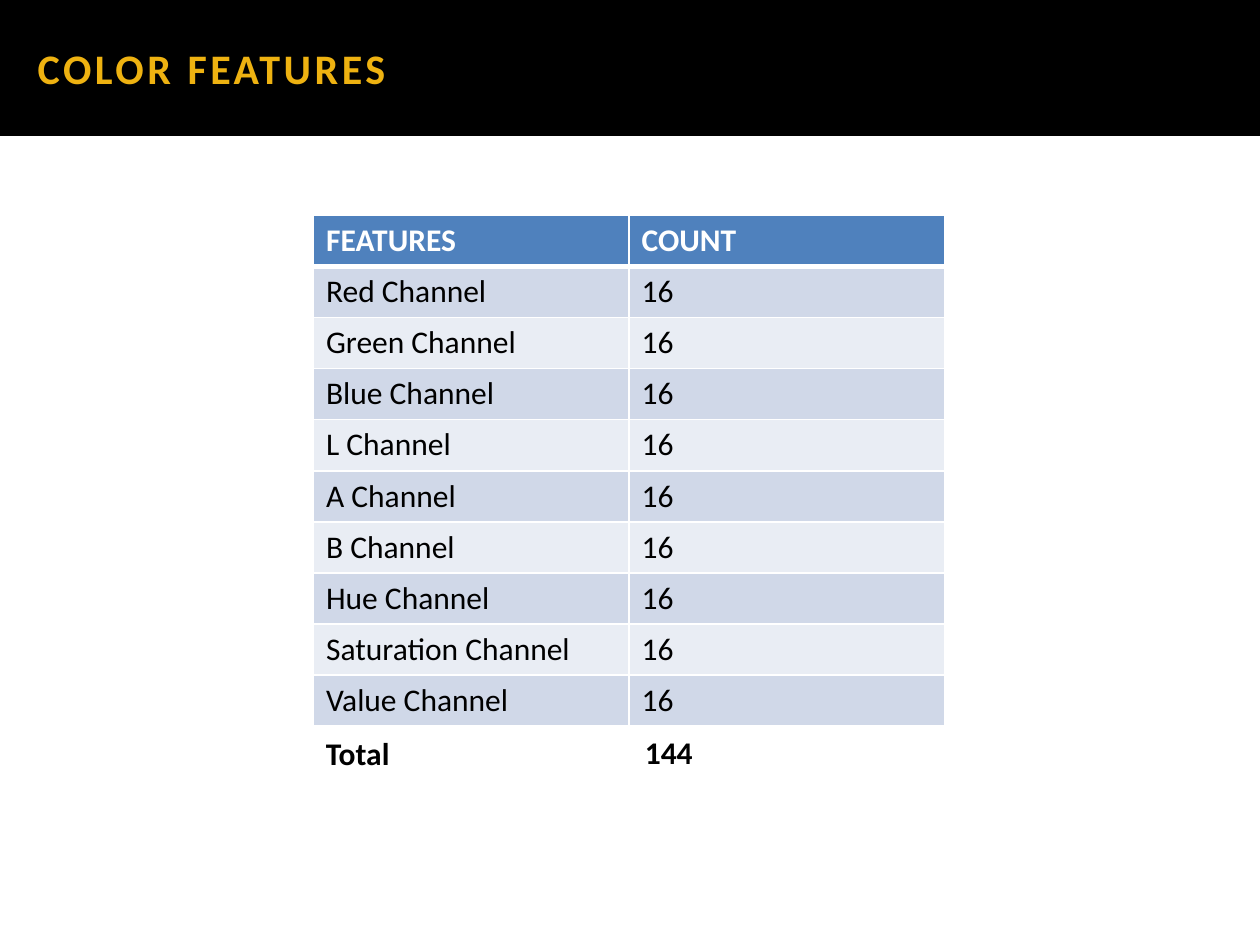
"""Build the colour features slide with its table of channel counts."""
from lxml import etree
from pptx import Presentation
from pptx.dml.color import RGBColor
from pptx.enum.shapes import MSO_SHAPE
from pptx.enum.text import MSO_ANCHOR, PP_ALIGN
from pptx.oxml.ns import qn
from pptx.util import Cm, Pt

RECTANGLE = MSO_SHAPE.RECTANGLE
MIDDLE = MSO_ANCHOR.MIDDLE
LEFT = PP_ALIGN.LEFT

BLACK = RGBColor(0x00, 0x00, 0x00)
WHITE = RGBColor(0xFF, 0xFF, 0xFF)
GOLD = RGBColor(0xEE, 0xB2, 0x11)
HEADER_BLUE = RGBColor(0x4F, 0x81, 0xBD)
BANDS = (RGBColor(0xD0, 0xD8, 0xE8), RGBColor(0xE9, 0xED, 0xF4))

FONT = "Calibri"
TITLE = "COLOR FEATURES"
HEADER = ("FEATURES", "COUNT")
CHANNELS = ("Red", "Green", "Blue", "L", "A", "B", "Hue", "Saturation", "Value")
ROWS = [HEADER] + [(f"{channel} Channel", "16") for channel in CHANNELS]
TOTALS = (("Total", 6.32, 14.68, 2.36), ("144", 12.75, 14.65, 1.78))

SLIDE_WIDTH, SLIDE_HEIGHT = 25.4, 19.05
BANNER_HEIGHT = 2.74
TABLE_LEFT, TABLE_TOP = 6.32, 4.34
COLUMN_WIDTH, ROW_HEIGHT = 6.36, 1.03
TOTAL_HEIGHT = 1.02


def add_text(paragraph, text, size, color, bold):
    paragraph.alignment = LEFT
    run = paragraph.add_run()
    run.text = text
    run.font.name = FONT
    run.font.size = Pt(size)
    run.font.bold = bold
    run.font.color.rgb = color
    return run


def add_banner(slide):
    banner = slide.shapes.add_shape(
        RECTANGLE, 0, 0, Cm(SLIDE_WIDTH), Cm(BANNER_HEIGHT))
    banner.shadow.inherit = False
    banner.fill.solid()
    banner.fill.fore_color.rgb = BLACK
    banner.line.fill.background()
    frame = banner.text_frame
    frame.vertical_anchor = MIDDLE
    frame.margin_left = Cm(0.76)
    run = add_text(frame.paragraphs[0], TITLE, 24, GOLD, True)
    run.font._element.set("spc", "200")


def set_borders(cell, top, bottom):
    properties = cell._tc.get_or_add_tcPr()
    for side, width in (("L", 1), ("R", 1), ("T", top), ("B", bottom)):
        line = etree.SubElement(properties, qn(f"a:ln{side}"), w=str(Pt(width)))
        fill = etree.SubElement(line, qn("a:solidFill"))
        etree.SubElement(fill, qn("a:srgbClr"), val=str(WHITE))


def add_feature_table(slide):
    table = slide.shapes.add_table(
        len(ROWS), len(HEADER), Cm(TABLE_LEFT), Cm(TABLE_TOP),
        Cm(COLUMN_WIDTH * len(HEADER)), Cm(ROW_HEIGHT * len(ROWS))).table
    for column in table.columns:
        column.width = Cm(COLUMN_WIDTH)
    for row_index, values in enumerate(ROWS):
        is_header = row_index == 0
        table.rows[row_index].height = Cm(ROW_HEIGHT)
        for column_index, value in enumerate(values):
            cell = table.cell(row_index, column_index)
            set_borders(cell, 3 if row_index == 1 else 1, 3 if is_header else 1)
            cell.fill.solid()
            cell.fill.fore_color.rgb = (
                HEADER_BLUE if is_header else BANDS[(row_index - 1) % 2])
            add_text(cell.text_frame.paragraphs[0], value, 18,
                     WHITE if is_header else BLACK, is_header)


def add_totals(slide):
    for text, left, top, width in TOTALS:
        box = slide.shapes.add_textbox(
            Cm(left), Cm(top), Cm(width), Cm(TOTAL_HEIGHT))
        box.text_frame.word_wrap = True
        add_text(box.text_frame.paragraphs[0], text, 18, BLACK, True)


def main():
    presentation = Presentation()
    presentation.slide_width = Cm(SLIDE_WIDTH)
    presentation.slide_height = Cm(SLIDE_HEIGHT)
    slide = presentation.slides.add_slide(presentation.slide_layouts[6])
    add_banner(slide)
    add_feature_table(slide)
    add_totals(slide)
    presentation.save("out.pptx")


if __name__ == "__main__":
    main()
